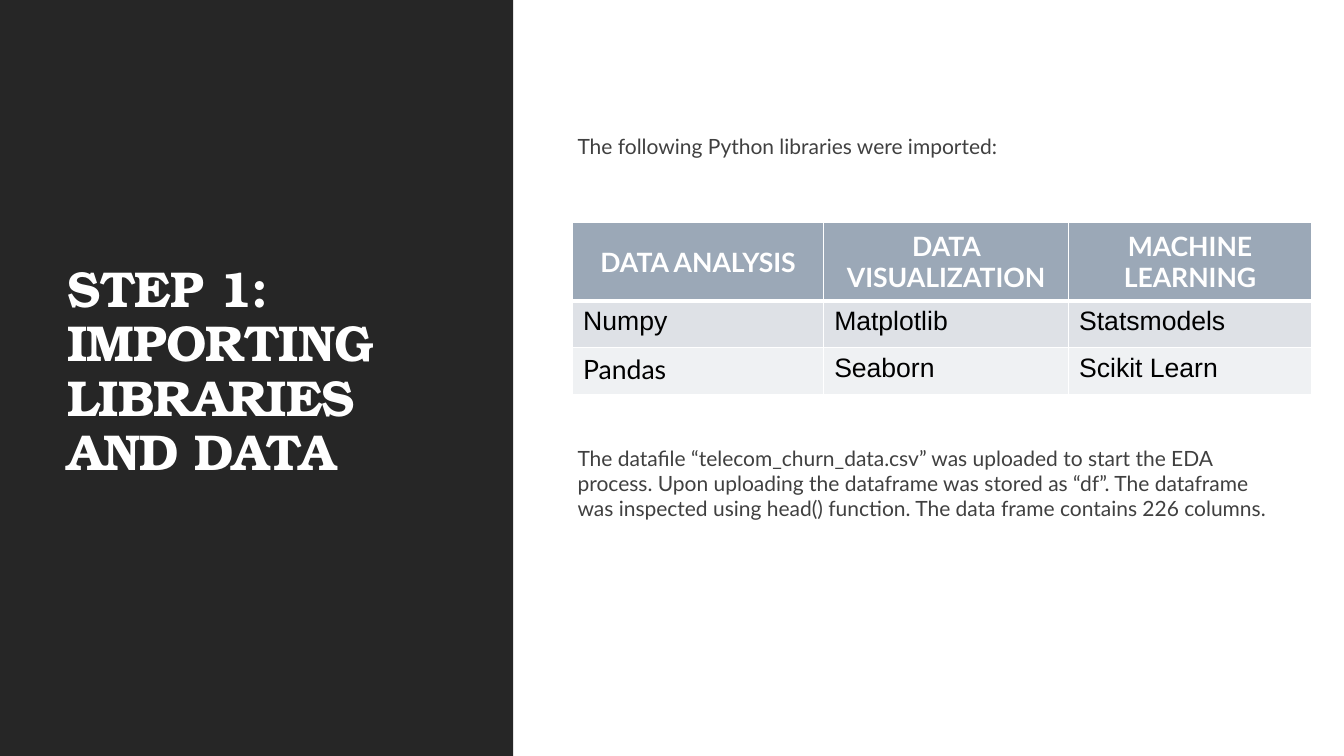
import pptx
import pptx.dml.color
import pptx.enum.shapes
import pptx.enum.text
import pptx.oxml
import pptx.oxml.ns
import pptx.util

Pt = pptx.util.Pt
ALIGN = pptx.enum.text.PP_ALIGN
ANCHOR = pptx.enum.text.MSO_ANCHOR


def color(value):
    return pptx.dml.color.RGBColor.from_string(value)


class Deck:
    WHITE, PANEL, BODY, BLACK = "FFFFFF", "262626", "404040", "000000"
    HEADER, BANDS = "9BA8B7", ("DEE1E6", "EFF1F3")
    SERIF, SANS, PLAIN = "TeX Gyre Bonum", "Lato", "Arial"

    def __init__(self, width, height):
        self.prs = pptx.Presentation()
        self.prs.slide_width, self.prs.slide_height = Pt(width), Pt(height)
        self.s = self.prs.slides.add_slide(self.prs.slide_layouts[5])

    def font(self, p, name, size, value, bold=False):
        p.font.name, p.font.size, p.font.bold = name, Pt(size), bold
        p.font.color.rgb = color(value)

    def panel(self, x, y, w, h):
        sp = self.s.shapes.add_shape(
            pptx.enum.shapes.MSO_SHAPE.RECTANGLE, Pt(x), Pt(y), Pt(w), Pt(h))
        sp.shadow.inherit = False
        sp.fill.solid()
        sp.fill.fore_color.rgb = color(self.PANEL)
        sp.line.fill.background()
        # Keep the panel behind the title
        self.s.shapes.title._element.addprevious(sp._element)

    def title(self, text, x, y, w, h):
        sp = self.s.shapes.title
        sp.left, sp.top, sp.width, sp.height = Pt(x), Pt(y), Pt(w), Pt(h)
        tf = sp.text_frame
        tf.text = text
        tf.word_wrap = True
        tf.auto_size = pptx.enum.text.MSO_AUTO_SIZE.NONE
        tf.vertical_anchor = ANCHOR.MIDDLE
        p = tf.paragraphs[0]
        p.alignment, p.line_spacing = ALIGN.LEFT, 0.9
        self.font(p, self.SERIF, 36, self.WHITE, True)
        p.runs[0].font._element.set("spc", "-50")

    def text(self, text, x, y, w, h):
        tf = self.s.shapes.add_textbox(Pt(x), Pt(y), Pt(w), Pt(h)).text_frame
        tf.word_wrap = True
        tf.text = text
        self.font(tf.paragraphs[0], self.SANS, 15, self.BODY)

    def borders(self, cell, bottom):
        tcPr = cell._tc.get_or_add_tcPr()
        widths = {"lnL": 1, "lnR": 1, "lnT": 1, "lnB": bottom}
        for i, (tag, width) in enumerate(widths.items()):
            tcPr.insert(i, pptx.oxml.parse_xml(
                f'<a:{tag} {pptx.oxml.ns.nsdecls("a")} w="{Pt(width)}"><a:solidFill>'
                f'<a:srgbClr val="{self.WHITE}"/></a:solidFill></a:{tag}>'))

    def table(self, rows, x, y, widths, heights, lato_cells=()):
        table = self.s.shapes.add_table(
            len(rows), len(widths), Pt(x), Pt(y),
            Pt(sum(widths)), Pt(sum(heights))).table
        for column, width in zip(table.columns, widths):
            column.width = Pt(width)
        for i, (row, height) in enumerate(zip(rows, heights)):
            table.rows[i].height = Pt(height)
            header = i == 0
            for j, text in enumerate(row):
                cell = table.cell(i, j)
                cell.text = text
                cell.margin_left = cell.margin_right = Pt(7.6)
                cell.margin_top = cell.margin_bottom = Pt(3.8)
                cell.vertical_anchor = ANCHOR.MIDDLE if header else ANCHOR.TOP
                cell.fill.solid()
                cell.fill.fore_color.rgb = color(
                    self.HEADER if header else self.BANDS[(i - 1) % 2])
                p = cell.text_frame.paragraphs[0]
                p.alignment = ALIGN.CENTER if header else ALIGN.LEFT
                name = self.SANS if header or text in lato_cells else self.PLAIN
                self.font(p, name, 19, self.WHITE if header else self.BLACK, header)
                # The rule under the header is thicker, seen from both rows
                self.borders(cell, 3 if header else 1)
                if i == 1:
                    cell._tc.tcPr.find(pptx.oxml.ns.qn("a:lnT")).set("w", str(Pt(3)))


def main():
    deck = Deck(960, 540)

    # Left panel with the title
    deck.panel(0, 0, 366.5, 540)
    deck.title("STEP 1: IMPORTING LIBRARIES AND DATA", 41, 183.6, 277, 165)

    # Libraries
    deck.text("The following Python libraries were imported:", 405.5, 91.5, 515.5, 26)
    deck.table(
        [("DATA ANALYSIS", "DATA VISUALIZATION", "MACHINE LEARNING"),
         ("Numpy", "Matplotlib", "Statsmodels"),
         ("Pandas", "Seaborn", "Scikit Learn")],
        409, 159, (179.3, 175, 173.5), (56, 33.5, 33.5), lato_cells=("Pandas",))

    # Data file
    deck.text("The datafile “telecom_churn_data.csv” was uploaded to start the EDA "
              "process. Upon uploading the dataframe was stored as “df”. The dataframe "
              "was inspected using head() function. The data frame contains 226 columns.",
              405.5, 314.5, 515.5, 62)

    deck.prs.save("out.pptx")


if __name__ == "__main__":
    main()
